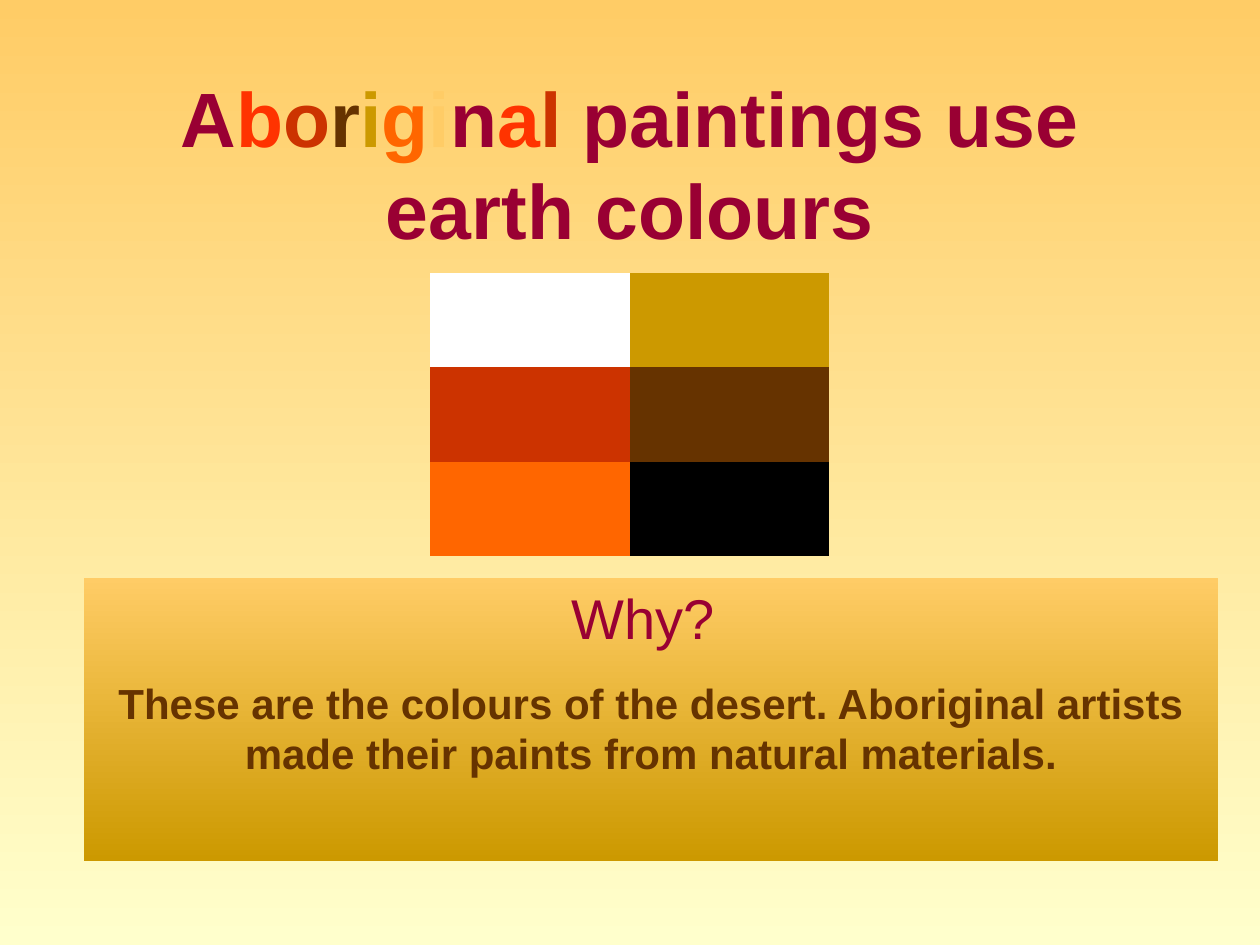
from dataclasses import dataclass
from pptx import Presentation
from pptx.dml.color import RGBColor
from pptx.enum.shapes import MSO_SHAPE
from pptx.enum.text import MSO_ANCHOR, PP_ALIGN
from pptx.util import Pt


@dataclass(frozen=True)
class Theme:
    font: str = "Arial"
    maroon: str = "990033"
    red: str = "FF3300"
    rust: str = "CC3300"
    brown: str = "663300"
    ochre: str = "CC9900"
    orange: str = "FF6600"
    sand: str = "FFCC66"
    cream: str = "FFFFCC"
    white: str = "FFFFFF"
    black: str = "000000"
    title_size: int = 44
    question_size: int = 32
    answer_size: int = 24


theme = Theme()


def add_text(paragraph, text, color, size, bold=False):
    run = paragraph.add_run()
    run.text = text
    run.font.name = theme.font
    run.font.size = Pt(size)
    run.font.bold = bold
    run.font.color.rgb = RGBColor.from_string(color)


def fade_down(fill, top, bottom):
    fill.gradient()
    fill.gradient_angle = 270
    for stop, position, color in zip(fill.gradient_stops, (0, 1), (top, bottom)):
        stop.position = position
        stop.color.rgb = RGBColor.from_string(color)


deck = Presentation()
deck.slide_width, deck.slide_height = Pt(720), Pt(540)
slide = deck.slides.add_slide(deck.slide_layouts[5])
fade_down(slide.background.fill, theme.sand, theme.cream)

title = slide.shapes.title
title.left, title.top, title.width, title.height = Pt(54), Pt(48), Pt(612), Pt(90)
title.text_frame.word_wrap = True
title.text_frame.vertical_anchor = MSO_ANCHOR.MIDDLE
heading = title.text_frame.paragraphs[0]
heading.alignment = PP_ALIGN.CENTER
letter_colors = (theme.maroon, theme.red, theme.rust, theme.brown, theme.ochre,
                 theme.orange, theme.sand, theme.maroon, theme.red, theme.rust)
for letter, color in zip("Aboriginal", letter_colors):
    add_text(heading, letter, color, theme.title_size, bold=True)
add_text(heading, " paintings use earth colours", theme.maroon, theme.title_size, bold=True)

earth_colors = ((theme.white, theme.ochre),
                (theme.rust, theme.brown),
                (theme.orange, theme.black))
swatches = slide.shapes.add_table(3, 2, Pt(246), Pt(156), Pt(228), Pt(162)).table
swatches.first_row = swatches.horz_banding = False
no_style_no_grid = "{2D5ABB26-0587-4C30-8999-92F81FD0307C}"
swatches._tbl.tblPr[0].text = no_style_no_grid
for row, colors in zip(swatches.rows, earth_colors):
    for swatch, color in zip(row.cells, colors):
        swatch.fill.solid()
        swatch.fill.fore_color.rgb = RGBColor.from_string(color)

reason = slide.shapes.add_shape(MSO_SHAPE.RECTANGLE, Pt(48), Pt(330), Pt(648), Pt(162))
reason.shadow.inherit = False
reason.line.fill.background()
fade_down(reason.fill, theme.sand, theme.ochre)
reason.text_frame.word_wrap = True
reason.text_frame.vertical_anchor = MSO_ANCHOR.TOP
question = reason.text_frame.paragraphs[0]
question.alignment = PP_ALIGN.CENTER
add_text(question, "Why? ", theme.maroon, theme.question_size)
answer = reason.text_frame.add_paragraph()
answer.alignment = PP_ALIGN.CENTER
answer.space_before = Pt(15)
add_text(answer, "These are the colours of the desert. Aboriginal artists made their paints "
         "from natural materials.", theme.brown, theme.answer_size, bold=True)

deck.save("out.pptx")
